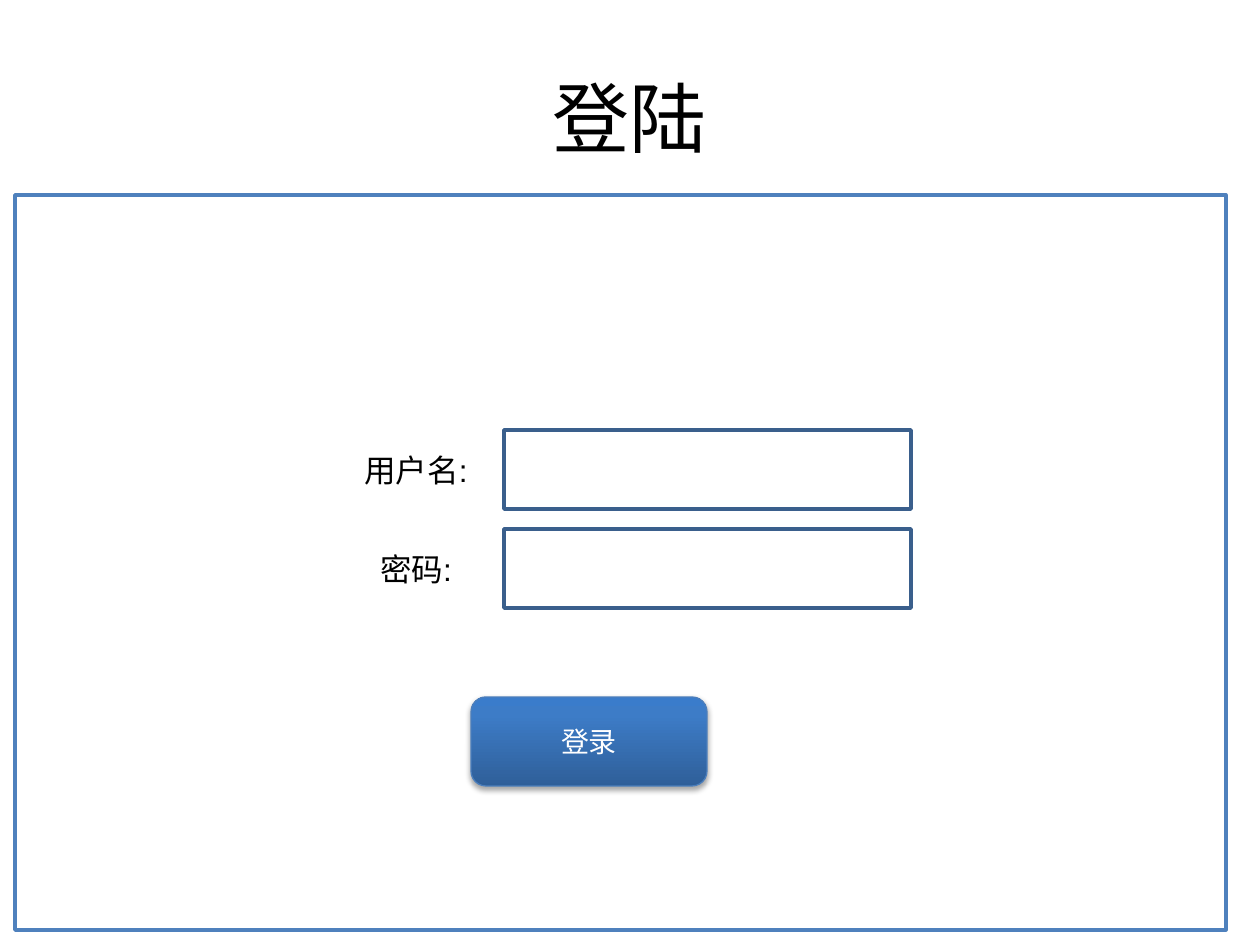
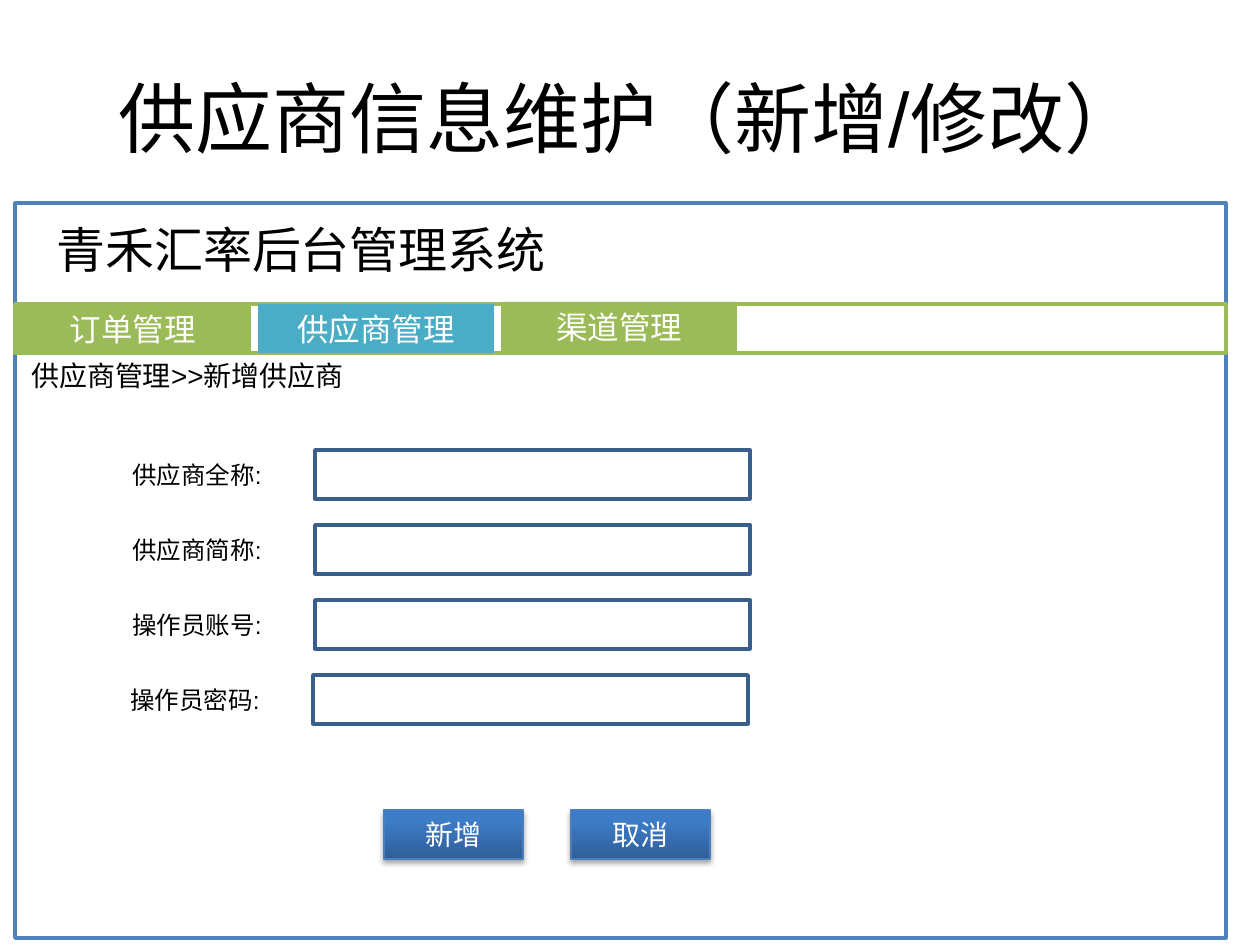
import pptx
import pptx.util
import pptx.oxml
import pptx.dml.color
import pptx.enum.shapes
import pptx.enum.text

RGB = pptx.dml.color.RGBColor
BLACK = RGB(0x00, 0x00, 0x00)
WHITE = RGB(0xFF, 0xFF, 0xFF)
BLUE = RGB(0x4F, 0x81, 0xBD)
NAVY = RGB(0x3A, 0x5F, 0x8C)
EDGE = RGB(0x4B, 0x7E, 0xBC)
GREEN = RGB(0x9B, 0xBB, 0x59)
TEAL = RGB(0x4B, 0xAC, 0xC6)
DARK = RGB(0x2F, 0x5F, 0x99)
MID = RGB(0x3D, 0x7C, 0xC7)
LIGHT = RGB(0x3A, 0x7C, 0xCB)

FONT = "Arial"
SCALE = 914400 / 126
KIND = pptx.enum.shapes.MSO_SHAPE
ALIGN = pptx.enum.text.PP_ALIGN
ANCHOR = pptx.enum.text.MSO_ANCHOR
NS = 'xmlns:a="http://schemas.openxmlformats.org/drawingml/2006/main"'


def emu(*sizes):
    return [pptx.util.Emu(round(size * SCALE)) for size in sizes]


def write(shape, text, size, color, align=ALIGN.CENTER, anchor=ANCHOR.MIDDLE):
    frame = shape.text_frame
    frame.word_wrap = True
    frame.vertical_anchor = anchor
    frame.text = text
    line = frame.paragraphs[0]
    line.alignment = align
    font = line.runs[0].font
    font.name = FONT
    font.size = pptx.util.Pt(size)
    font.color.rgb = color


def panel(slide, box, fill=None, edge=None, width=2, kind=KIND.RECTANGLE):
    shape = slide.shapes.add_shape(kind, *emu(*box))
    shape.shadow.inherit = False
    if fill is None:
        shape.fill.background()
    else:
        shape.fill.solid()
        shape.fill.fore_color.rgb = fill
    if edge is None:
        shape.line.fill.background()
    else:
        shape.line.color.rgb = edge
        shape.line.width = pptx.util.Pt(width)
    return shape


def note(slide, box, text, size):
    shape = slide.shapes.add_textbox(*emu(*box))
    write(shape, text, size, BLACK, ALIGN.LEFT, ANCHOR.TOP)


def label(slide, box, text, size):
    shape = slide.shapes.add_textbox(*emu(*box))
    write(shape, text, size, BLACK)
    shape.text_frame.margin_left = shape.text_frame.margin_right = 0


def button(slide, box, text, round_by):
    shape = panel(slide, box, None, EDGE, 0.75, KIND.ROUNDED_RECTANGLE)
    shape.adjustments[0] = round_by
    write(shape, text, 16, WHITE)
    props = shape._element.spPr
    stops = "".join(
        f'<a:gs pos="{place * 1000}"><a:srgbClr val="{color}"/></a:gs>'
        for place, color in ((0, DARK), (80, MID), (100, LIGHT)))
    shade = pptx.oxml.parse_xml(
        f'<a:gradFill {NS} rotWithShape="1"><a:gsLst>{stops}</a:gsLst>'
        '<a:lin ang="16200000" scaled="0"/></a:gradFill>')
    props.replace(props.xpath("a:noFill")[0], shade)
    props.xpath("a:effectLst")[0].append(pptx.oxml.parse_xml(
        f'<a:outerShdw {NS} blurRad="39370" dist="22860" dir="5400000" '
        f'rotWithShape="0"><a:srgbClr val="{BLACK}">'
        '<a:alpha val="35000"/></a:srgbClr></a:outerShdw>'))


def page(deck, title, top):
    slide = deck.slides.add_slide(deck.slide_layouts[5])
    head = slide.shapes.title
    head.left, head.top, head.width, head.height = emu(63, 38, 1134, 157)
    write(head, title, 44, BLACK)
    box = (15, top, 1211, 735)
    panel(slide, box, WHITE, BLUE)
    return slide, box


def login(slide, box):
    left, top = box[:2]
    for row, text in enumerate(("用户名:", "密码:")):
        y = top + 235 + row * 99
        label(slide, (left + 267, y, 268, 79), text, 18)
        panel(slide, (left + 489, y, 407, 79), None, NAVY)
    button(slide, (left + 456, top + 502, 236, 89), "登录", 0.167)


def menu(slide, box):
    left, top, width, high = box
    panel(slide, box, WHITE, GREEN)
    tabs = (("订单管理", GREEN, 0), ("供应商管理", TEAL, 0),
            ("渠道管理", GREEN, -2))
    for col, (text, color, shift) in enumerate(tabs):
        tab = panel(slide, (left + col * 243, top + shift, 236, high), color)
        write(tab, text, 18, WHITE)


def form(slide, box):
    left, top = box[:2]
    rows = (("供应商全称:", 0), ("供应商简称:", 0),
            ("操作员账号:", 0), ("操作员密码:", -2))
    for row, (text, shift) in enumerate(rows):
        x, y = left + shift, top + row * 75
        label(slide, (x, y, 152, 79), text, 14)
        panel(slide, (x + 194, y + 15, 435, 49), None, NAVY)
    for col, text in enumerate(("新增", "取消")):
        button(slide, (left + 263 + col * 187, top + 375, 139, 49), text, 0)


def vendor(slide, box):
    left, top, width, high = box
    note(slide, (left + 29, top + 10, 753, 72), "青禾汇率后台管理系统", 28)
    menu(slide, (left, top + 101, width, 49))
    note(slide, (left + 4, top + 149, 357, 47), "供应商管理>>新增供应商", 16)
    form(slide, (left + 106, top + 232, 629, 424))


deck = pptx.Presentation()
deck.slide_width, deck.slide_height = emu(1260, 945)
login(*page(deck, "登陆", 195))
vendor(*page(deck, "供应商信息维护（新增/修改）", 203))
deck.save("out.pptx")
